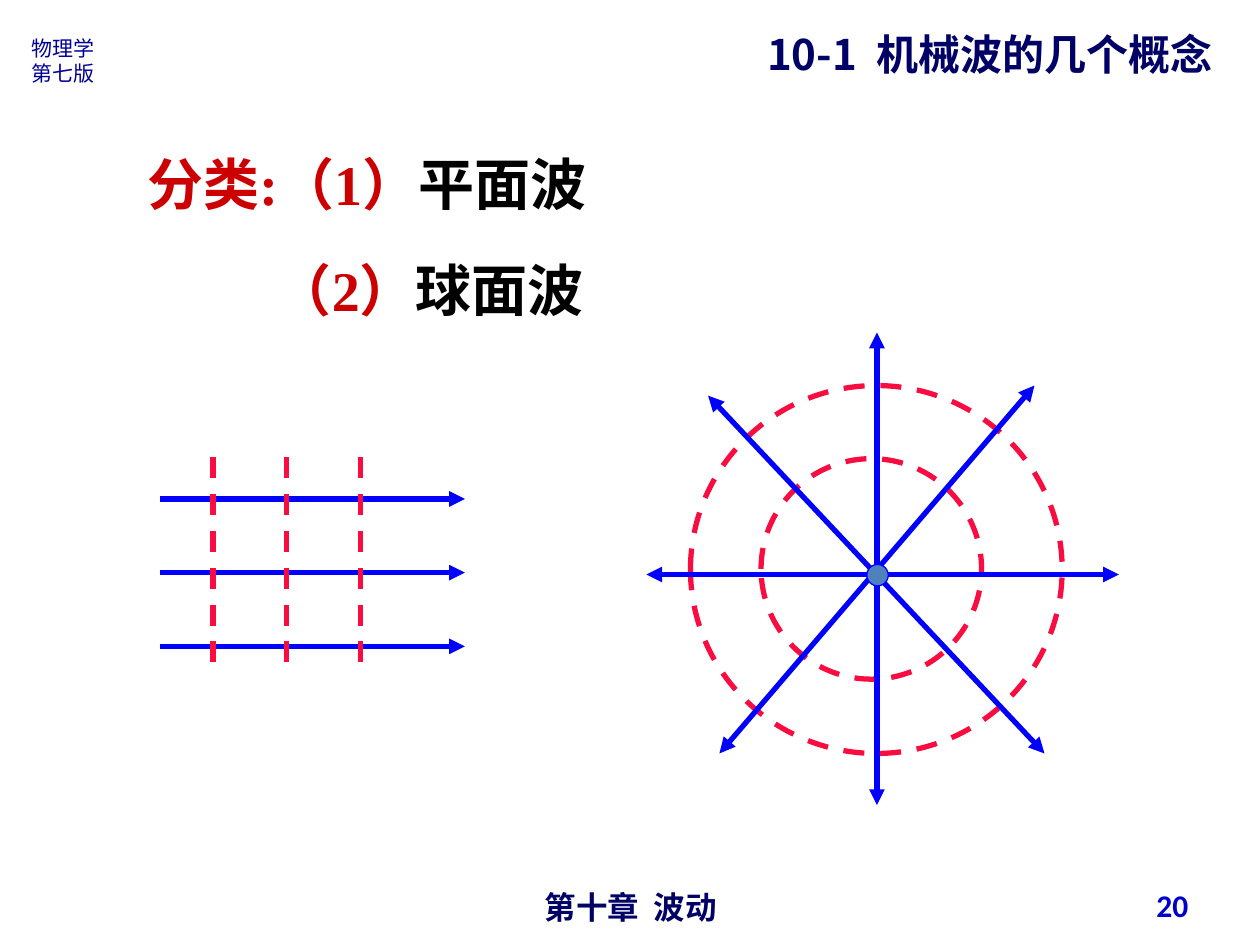
from lxml import etree
from pptx import Presentation
from pptx.dml.color import RGBColor
from pptx.enum.dml import MSO_LINE
from pptx.enum.shapes import MSO_CONNECTOR, MSO_SHAPE
from pptx.enum.text import MSO_ANCHOR, PP_ALIGN
from pptx.oxml.ns import qn
from pptx.util import Inches, Pt

LEFT, CENTER, RIGHT = PP_ALIGN.LEFT, PP_ALIGN.CENTER, PP_ALIGN.RIGHT
TOP, MIDDLE = MSO_ANCHOR.TOP, MSO_ANCHOR.MIDDLE
OVAL, STRAIGHT, DASH = MSO_SHAPE.OVAL, MSO_CONNECTOR.STRAIGHT, MSO_LINE.DASH

NAVY, RED, BLACK = "000066", "CC0000", "000000"
RAY, WAVEFRONT, SOURCE = "0000FF", "F90D40", "4F81BD"
SANS, SERIF = "Noto Sans CJK SC", "Times New Roman"

TEXTS = [
    ((3.42, 7, 3.17, 0.29), [[("第十章  波动", NAVY)]], "Arial", 18, True, CENTER, TOP, 1),
    ((0.14, 0.23, 0.72, 0.5), [[("物理学", "000099")], [("第七版", "000099")]], SANS, 12, False, CENTER, TOP, 1),
    ((5.99, 0.1, 4.09, 0.58), [[("10-1  机械波的几个概念", NAVY)]], SANS, 24, True, LEFT, TOP, 1.2),
    ((7.2, 6.98, 2.33, 0.4), [[("20", "0000CC")]], "Calibri", 18, True, RIGHT, MIDDLE, 1),
    ((1.07, 1.14, 8.25, 0.64), [[("分类:（1）", RED), ("平面波", BLACK)]], SERIF, 32, True, LEFT, TOP, 1),
    ((2.09, 1.98, 3.31, 0.64), [[("（2）", RED), ("球面波", BLACK)]], SERIF, 32, True, LEFT, TOP, 1),
]
PLANE_LEFT, PLANE_RIGHT, PLANE_TOP, PLANE_BOTTOM = 1.27, 3.69, 3.63, 5.38
FIRST_RAY_Y, FIRST_FRONT_X, PLANE_GAP, PLANE_COUNT = 3.96, 1.69, 0.585, 3
CIRCULAR_FRONTS = [(6.04, 3.64, 1.75, 1.75), (5.48, 3.06, 2.95, 2.92)]
SPHERICAL_RAYS = [
    (6.96, 6.39, 6.96, 2.64),
    (5.13, 4.56, 8.88, 4.56),
    (5.71, 5.98, 8.21, 3.06),
    (8.29, 5.98, 5.62, 3.14),
]
POINT_SOURCE = (6.88, 4.48, 0.17, 0.17)


def color(value):
    """Turn a hex string into a colour."""
    return RGBColor.from_string(value)


def add_text(slide, place, lines, font, size, bold, align, anchor, spacing):
    """Add a text box whose lines are lists of coloured runs."""
    text_frame = slide.shapes.add_textbox(*map(Inches, place)).text_frame
    text_frame.word_wrap = True
    text_frame.vertical_anchor = anchor
    text_frame.text = "\n".join([""] * len(lines))
    for paragraph, runs in zip(text_frame.paragraphs, lines):
        paragraph.alignment = align
        paragraph.line_spacing = spacing
        for text, fill in runs:
            run = paragraph.add_run()
            run.text = text
            run.font.name = font
            run.font.size = Pt(size)
            run.font.bold = bold
            run.font.color.rgb = color(fill)


def add_line(slide, ends, stroke, arrows=(), dash=None):
    """Add a straight line with the named arrowheads."""
    connector = slide.shapes.add_connector(STRAIGHT, *map(Inches, ends))
    connector.line.color.rgb = color(stroke)
    connector.line.width = Pt(3)
    connector.line.dash_style = dash
    line = connector.line._get_or_add_ln()
    for arrow in arrows:
        etree.SubElement(line, qn(arrow), type="triangle")
    etree.SubElement(connector._element.spPr, qn("a:effectLst"))


def add_circle(slide, place, stroke, width, fill=None, dash=None):
    """Add a circle, hollow unless a fill is given."""
    shape = slide.shapes.add_shape(OVAL, *map(Inches, place))
    shape.shadow.inherit = False
    shape.line.color.rgb = color(stroke)
    shape.line.width = Pt(width)
    shape.line.dash_style = dash
    if fill:
        shape.fill.solid()
        shape.fill.fore_color.rgb = color(fill)
    else:
        shape.fill.background()


def main():
    """Build the slide on plane and spherical waves."""
    presentation = Presentation()
    presentation.slide_width, presentation.slide_height = Inches(10), Inches(7.5)
    slide = presentation.slides.add_slide(presentation.slide_layouts[6])
    for text in TEXTS:
        add_text(slide, *text)
    offsets = [index * PLANE_GAP for index in range(PLANE_COUNT)]
    for offset in offsets:
        y = FIRST_RAY_Y + offset
        add_line(slide, (PLANE_LEFT, y, PLANE_RIGHT, y), RAY, ["a:tailEnd"])
    for offset in offsets:
        x = FIRST_FRONT_X + offset
        add_line(slide, (x, PLANE_TOP, x, PLANE_BOTTOM), WAVEFRONT, dash=DASH)
    for place in CIRCULAR_FRONTS:
        add_circle(slide, place, WAVEFRONT, 3, dash=DASH)
    for ends in SPHERICAL_RAYS:
        add_line(slide, ends, RAY, ["a:headEnd", "a:tailEnd"])
    add_circle(slide, POINT_SOURCE, RAY, 0.75, SOURCE)
    presentation.save("out.pptx")


if __name__ == "__main__":
    main()
